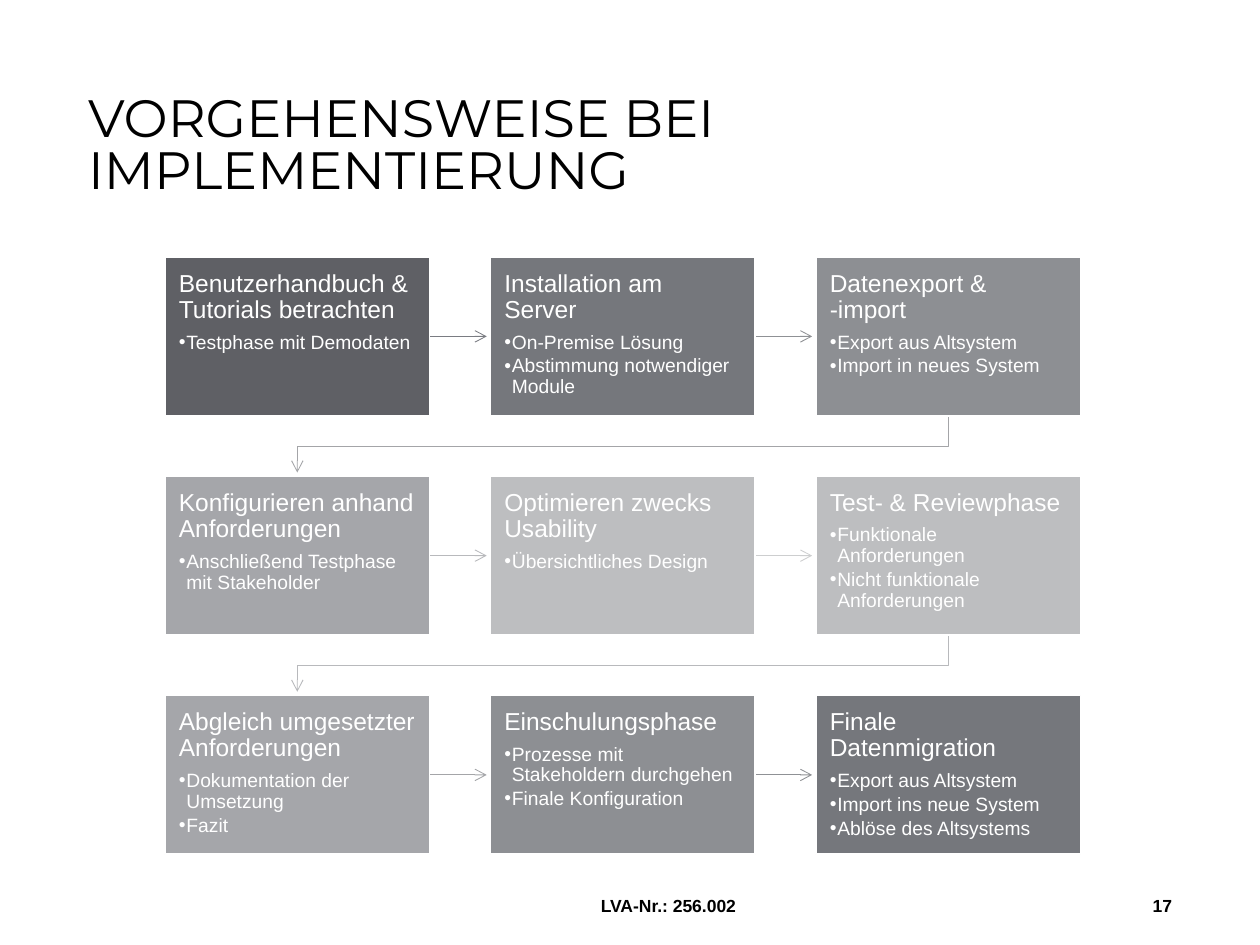
from lxml.etree import SubElement
from pptx import Presentation
from pptx.dml.color import RGBColor
from pptx.enum.shapes import MSO_CONNECTOR, MSO_SHAPE
from pptx.enum.text import MSO_ANCHOR, PP_ALIGN
from pptx.oxml.ns import qn
from pptx.util import Inches, Pt

WHITE = RGBColor(0xFF, 0xFF, 0xFF)
BLACK = RGBColor(0x00, 0x00, 0x00)
GRAPHITE = RGBColor(0x5F, 0x60, 0x65)
SLATE = RGBColor(0x75, 0x77, 0x7C)
STEEL = RGBColor(0x8D, 0x8F, 0x93)
ASH = RGBColor(0xA5, 0xA6, 0xAA)
SILVER = RGBColor(0xBD, 0xBE, 0xC0)
ARROW_SLATE = RGBColor(0x7A, 0x7C, 0x82)
ARROW_STEEL = RGBColor(0x8F, 0x91, 0x95)
ARROW_ASH = RGBColor(0xA4, 0xA5, 0xA8)
ARROW_SILVER = RGBColor(0xB8, 0xB9, 0xBC)
ARROW_PALE = RGBColor(0xCD, 0xCE, 0xCF)

COLUMNS = 3
BOX_WIDTH, BOX_HEIGHT = Inches(2.1), Inches(1.26)
COLUMN_PITCH, ROW_PITCH = int(BOX_WIDTH * 1.23), Inches(1.74)
ARROW_GAP = Inches(0.03)

STEPS = [
    ("Benutzerhandbuch & Tutorials betrachten", ["Testphase mit Demodaten"], GRAPHITE, ARROW_SLATE),
    ("Installation am Server", ["On-Premise Lösung", "Abstimmung notwendiger Module"], SLATE, ARROW_STEEL),
    ("Datenexport & -import", ["Export aus Altsystem", "Import in neues System"], STEEL, ARROW_ASH),
    ("Konfigurieren anhand Anforderungen", ["Anschließend Testphase mit Stakeholder"], ASH, ARROW_SILVER),
    ("Optimieren zwecks Usability", ["Übersichtliches Design"], SILVER, ARROW_PALE),
    ("Test- & Reviewphase", ["Funktionale Anforderungen", "Nicht funktionale Anforderungen"], SILVER, ARROW_SILVER),
    ("Abgleich umgesetzter Anforderungen", ["Dokumentation der Umsetzung", "Fazit"], ASH, ARROW_ASH),
    ("Einschulungsphase", ["Prozesse mit Stakeholdern durchgehen", "Finale Konfiguration"], STEEL, ARROW_STEEL),
    ("Finale Datenmigration",
     ["Export aus Altsystem", "Import ins neue System", "Ablöse des Altsystems"], SLATE, None),
]


def format_paragraph(paragraph, size, color, bold=False):
    paragraph.font.name = "Arial"
    paragraph.font.size = Pt(size)
    paragraph.font.bold = bold
    paragraph.font.color.rgb = color


def add_title(slide, left, top, width, height):
    title = slide.shapes.title
    title.left, title.top, title.width, title.height = left, top, width, height
    frame = title.text_frame
    frame.text = "VORGEHENSWEISE BEI IMPLEMENTIERUNG"
    frame.vertical_anchor = MSO_ANCHOR.TOP
    paragraph = frame.paragraphs[0]
    format_paragraph(paragraph, 30, BLACK)
    paragraph.font.name = "Montserrat"
    paragraph.alignment = PP_ALIGN.LEFT
    paragraph.line_spacing = 0.83


def add_bullet(paragraph):
    paragraph.level = 1
    properties = paragraph._p.get_or_add_pPr()
    properties.set("marL", str(Inches(0.06)))
    properties.set("indent", str(-Inches(0.06)))
    bullet_font = SubElement(properties, qn("a:buFont"), typeface="Arial")
    bullet_font.addnext(SubElement(properties, qn("a:buChar"), char="•"))


def add_step(slide, left, top, heading, points, color):
    box = slide.shapes.add_shape(MSO_SHAPE.RECTANGLE, left, top, BOX_WIDTH, BOX_HEIGHT)
    box.shadow.inherit = False
    box.fill.solid()
    box.fill.fore_color.rgb = color
    box.line.color.rgb = WHITE
    box.line.width = Pt(1)
    frame = box.text_frame
    frame.word_wrap = True
    frame.vertical_anchor = MSO_ANCHOR.TOP
    frame.margin_left = frame.margin_right = Inches(0.11)
    frame.margin_top = frame.margin_bottom = Inches(0.11)
    frame.text = "\n".join([heading, *points])
    for index, paragraph in enumerate(frame.paragraphs):
        format_paragraph(paragraph, 11 if index else 14, WHITE)
        paragraph.alignment = PP_ALIGN.LEFT
        paragraph.line_spacing = 0.9
        paragraph.space_after = Pt(1.7 if index else 5)
        if index:
            add_bullet(paragraph)


def style_arrow(arrow, color):
    arrow.line.color.rgb = color
    arrow.line.width = Pt(0.5)
    SubElement(arrow.line._get_or_add_ln(), qn("a:tailEnd"), type="arrow")


def add_arrow_right(slide, left, top, color):
    start, middle = left + BOX_WIDTH, top + BOX_HEIGHT // 2
    end = left + COLUMN_PITCH - ARROW_GAP
    arrow = slide.shapes.add_connector(MSO_CONNECTOR.STRAIGHT, start, middle, end, middle)
    style_arrow(arrow, color)
    SubElement(arrow._element.spPr, qn("a:effectLst"))


def add_arrow_to_next_row(slide, left, top, color):
    start_x = left + BOX_WIDTH // 2
    end_x = start_x - (COLUMNS - 1) * COLUMN_PITCH
    start_y = top + BOX_HEIGHT
    bend_y = (start_y + top + ROW_PITCH) // 2
    end_y = top + ROW_PITCH - ARROW_GAP
    builder = slide.shapes.build_freeform(start_x, start_y)
    builder.add_line_segments([(start_x, bend_y), (end_x, bend_y), (end_x, end_y)], close=False)
    arrow = builder.convert_to_shape()
    arrow.fill.background()
    style_arrow(arrow, color)
    arrow.shadow.inherit = False


def add_process(slide, left, top):
    for index, (heading, points, color, arrow_color) in enumerate(STEPS):
        row, column = divmod(index, COLUMNS)
        box_left = left + column * COLUMN_PITCH
        box_top = top + row * ROW_PITCH
        if arrow_color is not None:
            add_arrow = add_arrow_right if column < COLUMNS - 1 else add_arrow_to_next_row
            add_arrow(slide, box_left, box_top, arrow_color)
        add_step(slide, box_left, box_top, heading, points, color)


def add_footer_text(slide, left, top, width, height, text, alignment):
    frame = slide.shapes.add_textbox(left, top, width, height).text_frame
    frame.word_wrap = True
    frame.vertical_anchor = MSO_ANCHOR.MIDDLE
    frame.text = text
    paragraph = frame.paragraphs[0]
    paragraph.alignment = alignment
    format_paragraph(paragraph, 10, BLACK, bold=True)


def main():
    presentation = Presentation()
    presentation.slide_width, presentation.slide_height = Inches(10), Inches(7.5)
    slide = presentation.slides.add_slide(presentation.slide_layouts[5])
    add_title(slide, Inches(0.6), Inches(0.71), Inches(9.4), Inches(1.03))
    add_process(slide, Inches(1.31), Inches(2.04))
    footer_top, footer_height = Inches(6.99), Inches(0.4)
    add_footer_text(slide, Inches(4.67), footer_top, Inches(3.38), footer_height,
                    "LVA-Nr.: 256.002", PP_ALIGN.LEFT)
    add_footer_text(slide, Inches(8.84), footer_top, Inches(0.56), footer_height, "17", PP_ALIGN.RIGHT)
    presentation.save("out.pptx")


if __name__ == "__main__":
    main()
